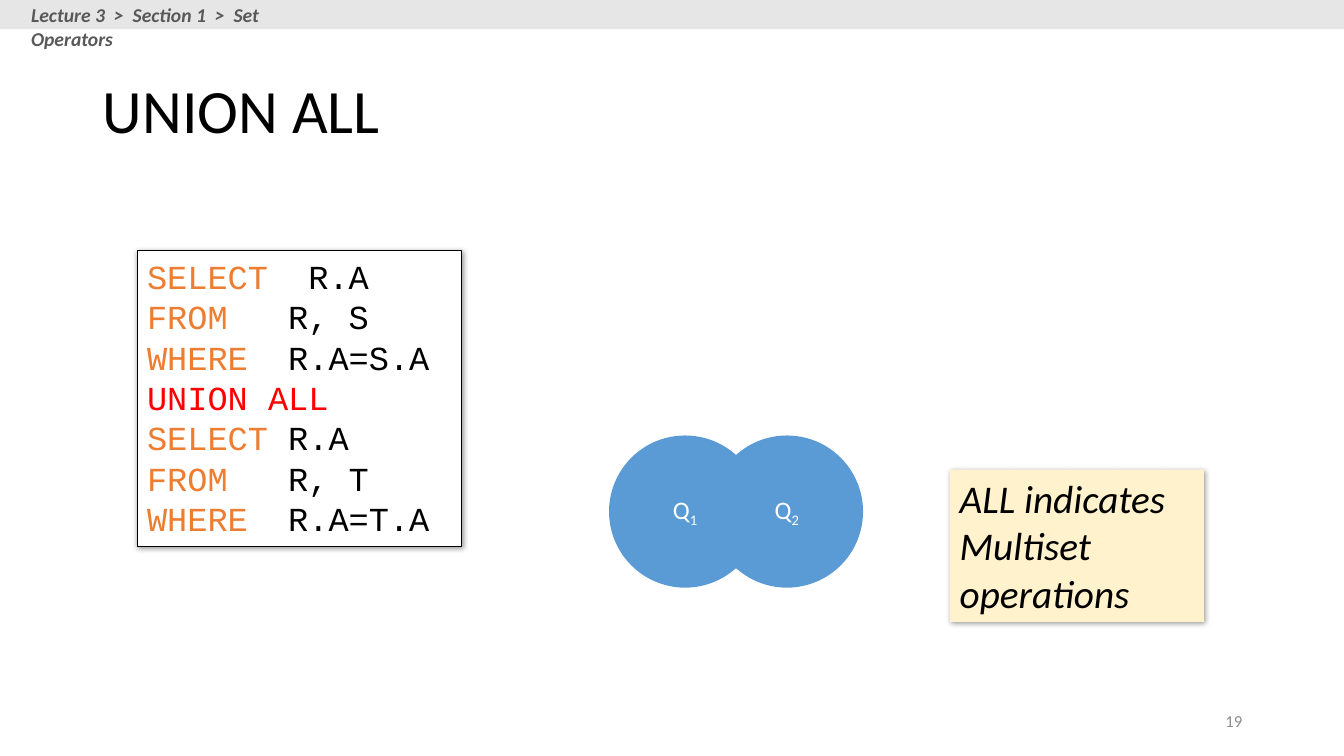
from lxml import etree
from pptx import Presentation
from pptx.dml.color import RGBColor
from pptx.enum.shapes import MSO_SHAPE
from pptx.enum.text import MSO_ANCHOR, PP_ALIGN
from pptx.oxml.ns import qn
from pptx.util import Inches, Pt

RECT, OVAL = MSO_SHAPE.RECTANGLE, MSO_SHAPE.OVAL
TOP, MIDDLE = MSO_ANCHOR.TOP, MSO_ANCHOR.MIDDLE
LEFT, CENTER, RIGHT = PP_ALIGN.LEFT, PP_ALIGN.CENTER, PP_ALIGN.RIGHT

BLACK, WHITE, ORANGE, RED = "000000", "FFFFFF", "ED7D31", "FF0000"
GRAY, BLUE, CREAM = "E7E6E6", "5B9BD5", "FFF2CC"

TITLE = "UNION ALL"
TRAIL = "Lecture 3  >  Section 1  >  Set Operators"
PAGE = "19"
NOTE = "ALL indicates Multiset operations"
# Each line of the query: keyword, its colour, the rest
QUERY = [
    ("SELECT", ORANGE, "  R.A"),
    ("FROM", ORANGE, "   R, S"),
    ("WHERE", ORANGE, "  R.A=S.A"),
    ("UNION ALL", RED, ""),
    ("SELECT", ORANGE, " R.A"),
    ("FROM", ORANGE, "   R, T"),
    ("WHERE", ORANGE, "  R.A=T.A"),
]
SETS = ["1", "2"]
SET_X, SET_Y, SET_SIZE, SET_STEP = 6.04, 4.32, 1.51, 1.01


def color(code):
    return RGBColor.from_string(code)


def write(shape, lines, size=18, font="Calibri", ink=BLACK, bold=False,
          italic=False, align=LEFT, anchor=TOP, spacing=None):
    """Fill a shape with lines, each a string or a list of (text, colour, is_sub)."""
    frame = shape.text_frame
    frame.word_wrap = True
    frame.vertical_anchor = anchor
    for i, line in enumerate(lines):
        para = frame.add_paragraph() if i else frame.paragraphs[0]
        para.alignment = align
        if spacing:
            para.line_spacing = spacing
        parts = [(line, ink, False)] if isinstance(line, str) else line
        for text, tint, is_sub in parts:
            run = para.add_run()
            run.text = text
            run.font.size = Pt(size)
            run.font.name = font
            run.font.bold = bold
            run.font.italic = italic
            run.font.color.rgb = color(tint)
            if is_sub:
                run._r.get_or_add_rPr().set("baseline", "-25000")


def add_box(slide, kind, box, fill, line=None):
    shape = slide.shapes.add_shape(kind, *map(Inches, box))
    shape.shadow.inherit = False
    shape.fill.solid()
    shape.fill.fore_color.rgb = color(fill)
    if line:
        shape.line.color.rgb = color(line)
        shape.line.width = Pt(0.75)
    else:
        shape.line.fill.background()
    return shape


def add_text(slide, box, text, **style):
    write(slide.shapes.add_textbox(*map(Inches, box)), [text], **style)


def cast(shape):
    """Give the shape a soft shadow to the lower right."""
    effects = shape._element.spPr.find(qn("a:effectLst"))
    shade = etree.SubElement(effects, qn("a:outerShdw"), blurRad=str(Pt(4)),
                             dist=str(Pt(1)), dir="2700000", algn="tl",
                             rotWithShape="0")
    tint = etree.SubElement(shade, qn("a:srgbClr"), val=BLACK)
    etree.SubElement(tint, qn("a:alpha"), val="40000")


def main():
    deck = Presentation()
    deck.slide_width, deck.slide_height = Inches(13.33), Inches(7.5)
    slide = deck.slides.add_slide(deck.slide_layouts[5])

    title = slide.shapes.title
    title.left, title.top = Inches(0.92), Inches(0.4)
    title.width, title.height = Inches(11.5), Inches(1.45)
    write(title, [TITLE], size=44, anchor=MIDDLE, spacing=0.9)

    add_text(slide, (9.42, 6.95, 3, 0.4), PAGE, size=12, ink="8C8C8C",
             align=RIGHT, anchor=MIDDLE)

    code = add_box(slide, RECT, (1.36, 2.49, 3.22, 2.93), WHITE, BLACK)
    cast(code)
    lines = [[(word, tint, False)] + ([(rest, BLACK, False)] if rest else [])
             for word, tint, rest in QUERY]
    write(code, lines, size=24, font="Courier New")

    add_box(slide, RECT, (0, 0, 13.33, 0.29), GRAY)
    add_text(slide, (0.21, -0.02, 3.27, 0.34), TRAIL, size=14, ink="595959",
             bold=True, italic=True)

    for i, name in enumerate(SETS):
        box = (SET_X + i * SET_STEP, SET_Y, SET_SIZE, SET_SIZE)
        disc = add_box(slide, OVAL, box, BLUE)
        write(disc, [[("Q", WHITE, False), (name, WHITE, True)]],
              align=CENTER, anchor=MIDDLE)

    note = add_box(slide, RECT, (9.42, 4.66, 2.52, 1.51), CREAM)
    cast(note)
    write(note, [NOTE], size=28, italic=True)

    deck.save("out.pptx")


if __name__ == "__main__":
    main()
